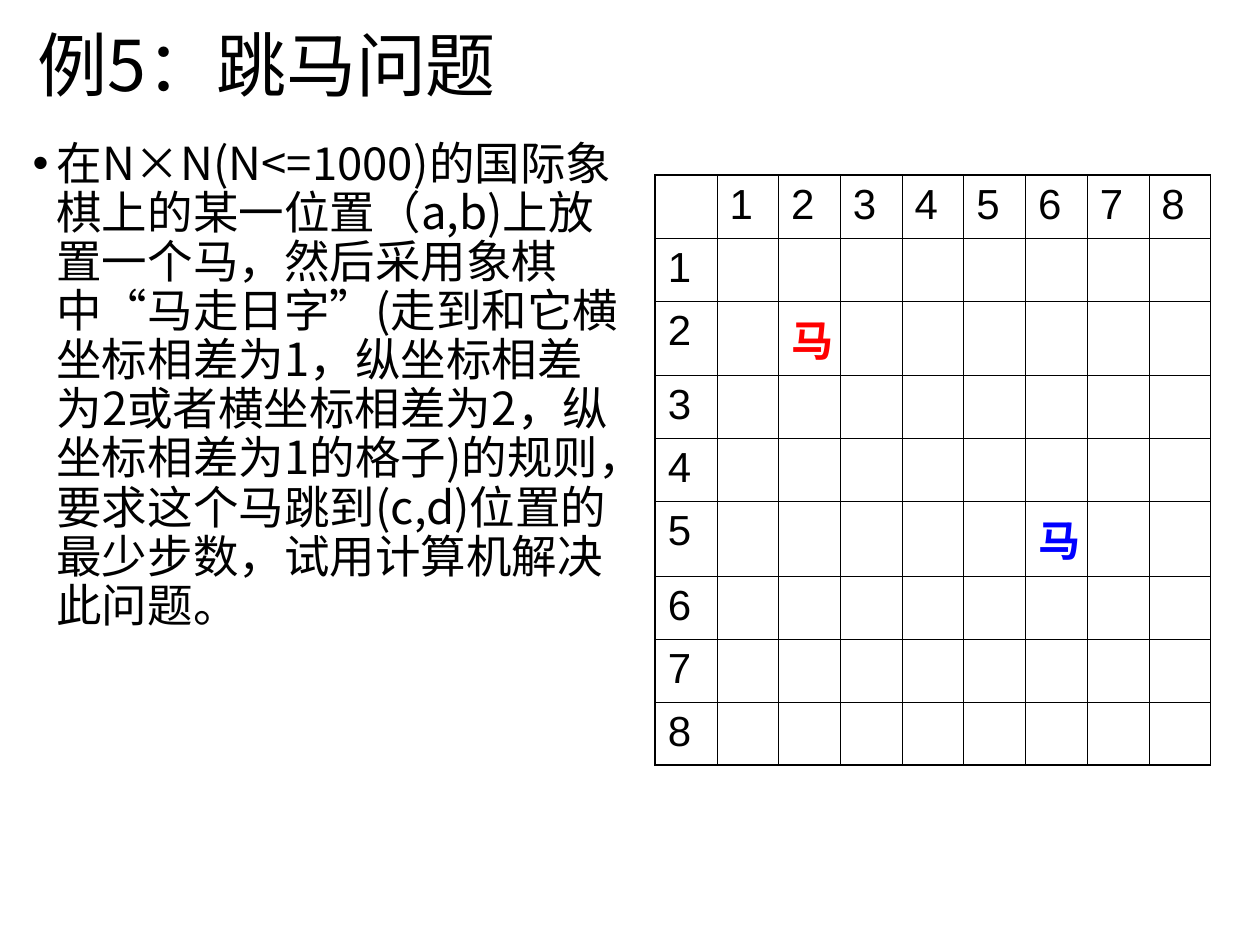
from dataclasses import dataclass

from lxml import etree
from pptx import Presentation
from pptx import util as u
from pptx.dml.color import RGBColor
from pptx.enum import text
from pptx.oxml.ns import qn

HAN_FONT = "Noto Sans CJK SC"
BLACK, RED, BLUE = "000000", "FF0000", "0000FF"
BOARD_SIZE = 8
COLUMN_WIDTH, ROW_HEIGHT, KNIGHT_ROW_HEIGHT = 0.49, 0.5, 0.59
THIN, THICK = 0.45, 1.08


@dataclass(frozen=True)
class Frame:
    """A rectangle in inches."""
    left: float
    top: float
    width: float
    height: float

    def lengths(self):
        return [u.Inches(v) for v in (self.left, self.top, self.width, self.height)]


@dataclass(frozen=True)
class Knight:
    row: int
    column: int
    colour: str


KNIGHTS = [Knight(2, 2, RED), Knight(5, 6, BLUE)]


def rgb(value: str) -> RGBColor:
    return RGBColor.from_string(value)


def style(para, font: str, size: float, colour: str = BLACK, bold: bool = False) -> None:
    for span in para.runs:
        span.font.name, span.font.size = font, u.Pt(size)
        span.font.bold = bold
        span.font.color.rgb = rgb(colour)
        han = etree.SubElement(span.font._element, qn("a:ea"))
        han.set("typeface", HAN_FONT)


def add_text(page, frame: Frame, words: str, size: float, anchor):
    box = page.shapes.add_textbox(*frame.lengths())
    box.text_frame.word_wrap = True
    box.text_frame.vertical_anchor = anchor
    box.text_frame.text = words
    para = box.text_frame.paragraphs[0]
    para.line_spacing = 0.9
    style(para, HAN_FONT, size)
    return para


def add_bullet(para, indent: float) -> None:
    props = para._p.get_or_add_pPr()
    props.set("marL", str(u.Inches(indent)))
    props.set("indent", str(-u.Inches(indent)))
    etree.SubElement(props, qn("a:buFont")).set("typeface", "Arial")
    etree.SubElement(props, qn("a:buChar")).set("char", "•")


def set_borders(cell, row: int, column: int) -> None:
    """Thick on the outside of the board, thin inside."""
    props = cell._tc.get_or_add_tcPr()
    outer = {"L": column == 0, "R": column == BOARD_SIZE,
             "T": row == 0, "B": row == BOARD_SIZE}
    for side, is_outer in outer.items():
        line = etree.SubElement(props, qn(f"a:ln{side}"))
        line.set("w", str(u.Pt(THICK if is_outer else THIN)))
        fill = etree.SubElement(line, qn("a:solidFill"))
        etree.SubElement(fill, qn("a:srgbClr")).set("val", BLACK)


def fill_cell(cell, words: str, colour: str = BLACK, bold: bool = False) -> None:
    cell.text_frame.text = words
    style(cell.text_frame.paragraphs[0], "Arial", 24, colour, bold)


def add_board(page, left: float, top: float) -> None:
    count = BOARD_SIZE + 1
    knight_rows = {knight.row for knight in KNIGHTS}
    heights = [KNIGHT_ROW_HEIGHT if row in knight_rows else ROW_HEIGHT
               for row in range(count)]
    frame = Frame(left, top, count * COLUMN_WIDTH, sum(heights))
    table = page.shapes.add_table(count, count, *frame.lengths()).table
    table.first_row = table.horz_banding = False
    for row, height in enumerate(heights):
        table.rows[row].height = u.Inches(height)
        table.columns[row].width = u.Inches(COLUMN_WIDTH)
        for column in range(count):
            cell = table.cell(row, column)
            set_borders(cell, row, column)
            cell.fill.background()
            # Coordinates run along the first row and the first column
            if (row == 0) != (column == 0):
                fill_cell(cell, str(row + column))
    for knight in KNIGHTS:
        fill_cell(table.cell(knight.row, knight.column), "马", knight.colour, True)


def main() -> None:
    deck = Presentation()
    deck.slide_width, deck.slide_height = u.Inches(10), u.Inches(7.5)
    page = deck.slides.add_slide(deck.slide_layouts[6])

    # Title
    add_text(page, Frame(0.2, 0.17, 9, 0.75), "例5：跳马问题", 40,
             text.MSO_ANCHOR.MIDDLE)

    # Problem statement
    problem = add_text(
        page, Frame(0.16, 1.07, 4.92, 5.59),
        "在N×N(N<=1000)的国际象棋上的某一位置（a,b)上放置一个马，"
        "然后采用象棋中“马走日字”(走到和它横坐标相差为1，纵坐标相差为2"
        "或者横坐标相差为2，纵坐标相差为1的格子)的规则，"
        "要求这个马跳到(c,d)位置的最少步数，试用计算机解决此问题。",
        26, text.MSO_ANCHOR.TOP)
    add_bullet(problem, 0.19)

    # Chessboard with both knights
    add_board(page, 5.2, 1.39)

    deck.save("out.pptx")


if __name__ == "__main__":
    main()
